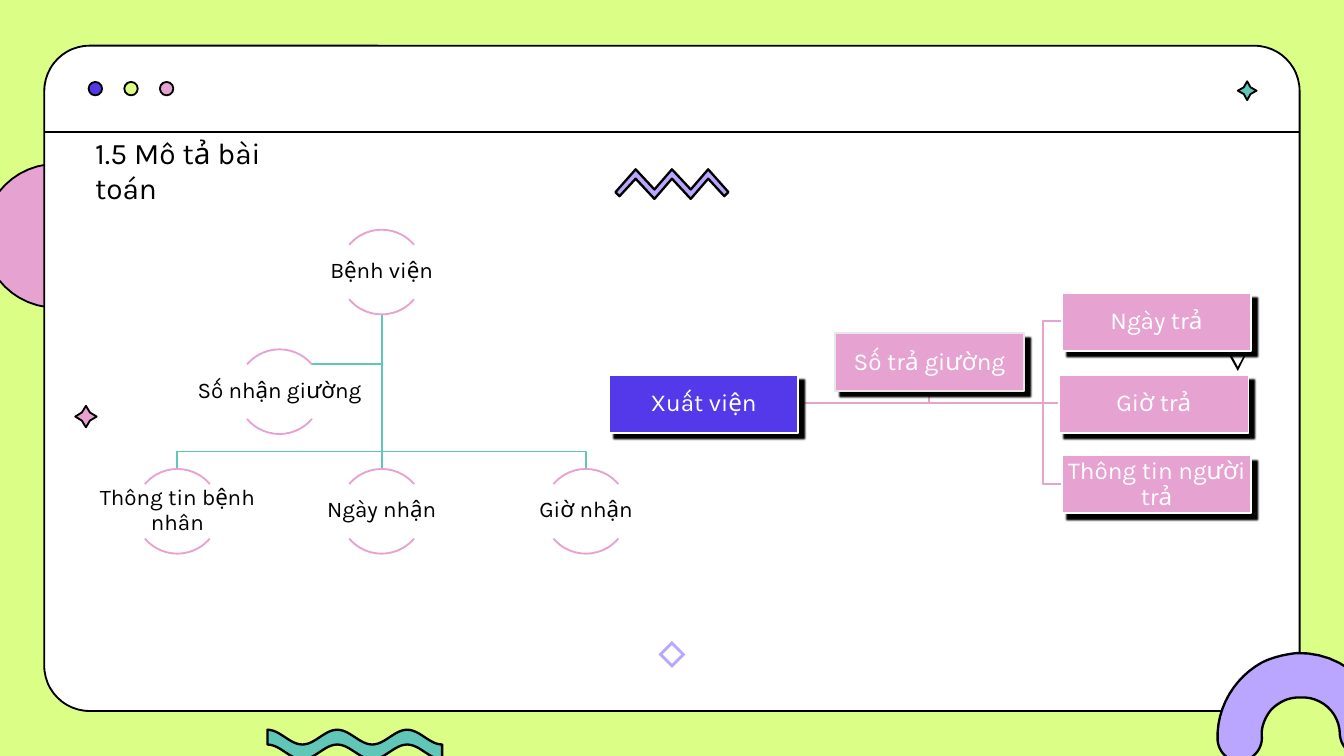
from math import cos, pi
from lxml.etree import SubElement
from pptx import Presentation
from pptx.dml.color import RGBColor
from pptx.enum.shapes import MSO_CONNECTOR, MSO_SHAPE
from pptx.enum.text import MSO_ANCHOR, PP_ALIGN
from pptx.oxml.ns import qn
from pptx.util import Inches, Pt

BLACK, WHITE, LIME = "000000", "FFFFFF", "DBFE87"
PINK, TEAL, BLUE, LILAC = "E6A2D0", "60C7B8", "5339EA", "BAA5FF"
FONT = "Karla"


def color(code):
    return RGBColor.from_string(code)


def paint(shape, fill=None, line=None, width=1):
    shape.shadow.inherit = False
    if fill:
        shape.fill.solid()
        shape.fill.fore_color.rgb = color(fill)
    else:
        shape.fill.background()
    if line:
        shape.line.color.rgb = color(line)
        shape.line.width = Pt(width)
    else:
        shape.line.fill.background()


def add_form(slide, kind, box, *style):
    shape = slide.shapes.add_shape(kind, *map(Inches, box))
    paint(shape, *style)
    return shape


def flatten(steps, count=12):
    """Turn points and cubic curves (six numbers) into plain points."""
    points = [steps[0]]
    for step in steps[1:]:
        if len(step) == 2:
            points.append(step)
            continue
        knots = [points[-1], step[:2], step[2:4], step[4:]]
        for i in range(1, count + 1):
            t = i / count
            mix = ((1 - t) ** 3, 3 * t * (1 - t) ** 2, 3 * t * t * (1 - t), t ** 3)
            points.append(tuple(sum(m * k[axis] for m, k in zip(mix, knots))
                                for axis in (0, 1)))
    return points


def add_path(slide, loops, *style, close=True):
    build = None
    for steps in loops:
        points = [tuple(map(Inches, p)) for p in flatten(steps)]
        if build is None:
            build = slide.shapes.build_freeform(*points[0], scale=1.0)
        else:
            build.move_to(*points[0])
        build.add_line_segments(points[1:], close=close)
    paint(build.convert_to_shape(), *style)


def add_line(slide, start, end, code):
    line = slide.shapes.add_connector(
        MSO_CONNECTOR.STRAIGHT, *map(Inches, start + end))
    line.line.color.rgb = color(code)
    line.line.width = Pt(1)
    SubElement(line._element.spPr, qn("a:effectLst"))


def write(frame, text, size, code):
    frame.word_wrap = True
    run = frame.paragraphs[0].add_run()
    run.text = text
    run.font.name = FONT
    run.font.size = Pt(size)
    run.font.color.rgb = color(code)


def center(frame):
    frame.vertical_anchor = MSO_ANCHOR.MIDDLE
    frame.margin_left = frame.margin_right = Inches(0.01)
    frame.margin_top = frame.margin_bottom = Inches(0.01)
    para = frame.paragraphs[0]
    para.alignment = PP_ALIGN.CENTER
    para.line_spacing = 0.9


def add_star(slide, x, y, far, near, fill):
    points = [(x, y - far), (x + near, y - near), (x + far, y), (x + near, y + near),
              (x, y + far), (x - near, y + near), (x - far, y), (x - near, y - near)]
    add_path(slide, [points], fill, BLACK)


def add_wave(slide):
    left, top, step, length = 1.99, 5.43, 0.52, 1.3
    edge = [(left + length * i / 60,
             top + 0.055 * (1 - cos(2 * pi * length * i / 60 / step)))
            for i in range(61)]
    lower = [(x, y + 0.11) for x, y in reversed(edge)]
    add_path(slide, [edge + lower], TEAL, BLACK, 1.25)


def add_node(slide, x, y, text):
    """Label between two arcs, centred on x with its top at y."""
    for angles in ((132, 192), (24, 84)):
        arc = add_form(slide, MSO_SHAPE.ARC, (x - 0.315, y, 0.63, 0.63), None, PINK)
        arc.adjustments[0], arc.adjustments[1] = angles
    label = slide.shapes.add_textbox(
        *map(Inches, (x - 0.625, y + 0.11, 1.25, 0.4))).text_frame
    write(label, text, 12, BLACK)
    center(label)


def add_card(slide, x, y, text, fill=PINK, line=WHITE):
    card = add_form(slide, MSO_SHAPE.RECTANGLE, (x, y, 1.41, 0.43), fill, line)
    effects = card._element.spPr.find(qn("a:effectLst"))
    shade = SubElement(effects, qn("a:outerShdw"), blurRad=str(Pt(1)),
                       dist=str(Pt(4)), dir="2700000", algn="tl", rotWithShape="0")
    SubElement(shade, qn("a:srgbClr"), val=BLACK)
    write(card.text_frame, text, 13, WHITE)
    center(card.text_frame)


def add_frame(slide):
    add_wave(slide)
    add_path(slide, [[(0.42, 1.22), (0.12, 1.22, -0.12, 1.46, -0.12, 1.76),
                      (-0.12, 2.05, 0.12, 2.29, 0.42, 2.29)]], PINK, BLACK)
    panel = add_form(slide, MSO_SHAPE.ROUNDED_RECTANGLE,
                     (0.33, 0.34, 9.34, 4.95), WHITE, BLACK)
    panel.adjustments[0] = 0.068
    add_line(slide, (0.33, 0.98), (9.67, 0.98), BLACK)
    for i, fill in enumerate((BLUE, LIME, PINK)):
        add_form(slide, MSO_SHAPE.OVAL, (0.66 + 0.265 * i, 0.61, 0.1, 0.1), fill, BLACK)


def add_decor(slide):
    add_star(slide, 0.64, 3.1, 0.08, 0.03, PINK)
    add_star(slide, 9.28, 0.675, 0.07, 0.025, TEAL)
    # Zigzag
    add_path(slide, [[(5.14, 1.48), (5, 1.33), (4.87, 1.48), (4.73, 1.33), (4.61, 1.46),
                      (4.58, 1.43), (4.73, 1.26), (4.87, 1.41), (5, 1.26), (5.14, 1.41),
                      (5.27, 1.26), (5.42, 1.43), (5.39, 1.46), (5.27, 1.33)]],
             LILAC, BLACK, 1.25)
    # Hollow triangle and diamond
    add_path(slide, [[(9.11, 2.58), (9.3, 2.58), (9.21, 2.76)],
                     [(9.14, 2.6), (9.21, 2.73), (9.28, 2.6)]], BLACK)
    add_path(slide, [[(5 - r, 4.87), (5, 4.87 - r), (5 + r, 4.87), (5, 4.87 + r)]
                     for r in (0.1, 0.07)], LILAC)
    # Arch
    add_path(slide, [[(9.39, 4.93), (9.47, 4.89, 9.56, 4.87, 9.65, 4.86),
                      (9.99, 4.85, 10.28, 5.11, 10.3, 5.45),
                      (10.3, 5.54, 10.23, 5.62, 10.14, 5.62),
                      (10.05, 5.63, 9.98, 5.56, 9.97, 5.47),
                      (9.97, 5.3, 9.83, 5.18, 9.67, 5.19),
                      (9.59, 5.19, 9.52, 5.22, 9.46, 5.28),
                      (9.41, 5.34, 9.38, 5.42, 9.39, 5.49),
                      (9.39, 5.58, 9.32, 5.66, 9.23, 5.66),
                      (9.14, 5.67, 9.07, 5.6, 9.06, 5.51),
                      (9.05, 5.26, 9.19, 5.04, 9.39, 4.93)]], LILAC, BLACK, 1.25)


def add_tree(slide):
    mid, left, right, low = 2.84, 1.32, 4.36, 3.49
    add_path(slide, [[(mid, 2.34), (mid, 2.71), (2.32, 2.71)]], None, TEAL, close=False)
    for x in (right, left):
        add_path(slide, [[(mid, 2.34), (mid, 3.36), (x, 3.36), (x, low)]],
                 None, TEAL, close=False)
    add_line(slide, (mid, 2.34), (mid, low), TEAL)
    for x, y, text in ((mid, 1.71, "Bệnh viện"), (left, low, "Thông tin bệnh nhân"),
                       (mid, low, "Ngày nhận"), (right, low, "Giờ nhận"),
                       (2.08, 2.6, "Số nhận giường")):
        add_node(slide, x, y, text)


def add_chain(slide):
    start = (5.93, 3)
    add_path(slide, [[start, (6.91, 3), (6.91, 2.91)]], None, PINK, close=False)
    for y in (3.6, 2.39):
        add_path(slide, [[start, (7.76, 3), (7.76, y), (7.9, y)]],
                 None, PINK, close=False)
    add_line(slide, start, (7.88, 3), PINK)
    add_card(slide, 4.53, 2.79, "Xuất viện", BLUE)
    add_card(slide, 7.9, 2.18, "Ngày trả")
    add_card(slide, 7.88, 2.79, "Giờ trả")
    add_card(slide, 7.9, 3.39, "Thông tin người trả")
    add_card(slide, 6.21, 2.48, "Số trả giường", line="E7E7E7")


def main():
    deck = Presentation()
    deck.slide_width, deck.slide_height = Inches(10), Inches(10 * 9 / 16)
    slide = deck.slides.add_slide(deck.slide_layouts[6])
    slide.background.fill.solid()
    slide.background.fill.fore_color.rgb = color(LIME)
    add_frame(slide)
    add_decor(slide)
    # Title
    title = slide.shapes.add_textbox(*map(Inches, (0.61, 0.95, 1.86, 0.37)))
    write(title.text_frame, "1.5 Mô tả bài toán", 16, BLACK)
    # Diagrams
    add_tree(slide)
    add_chain(slide)
    deck.save("out.pptx")


if __name__ == "__main__":
    main()
